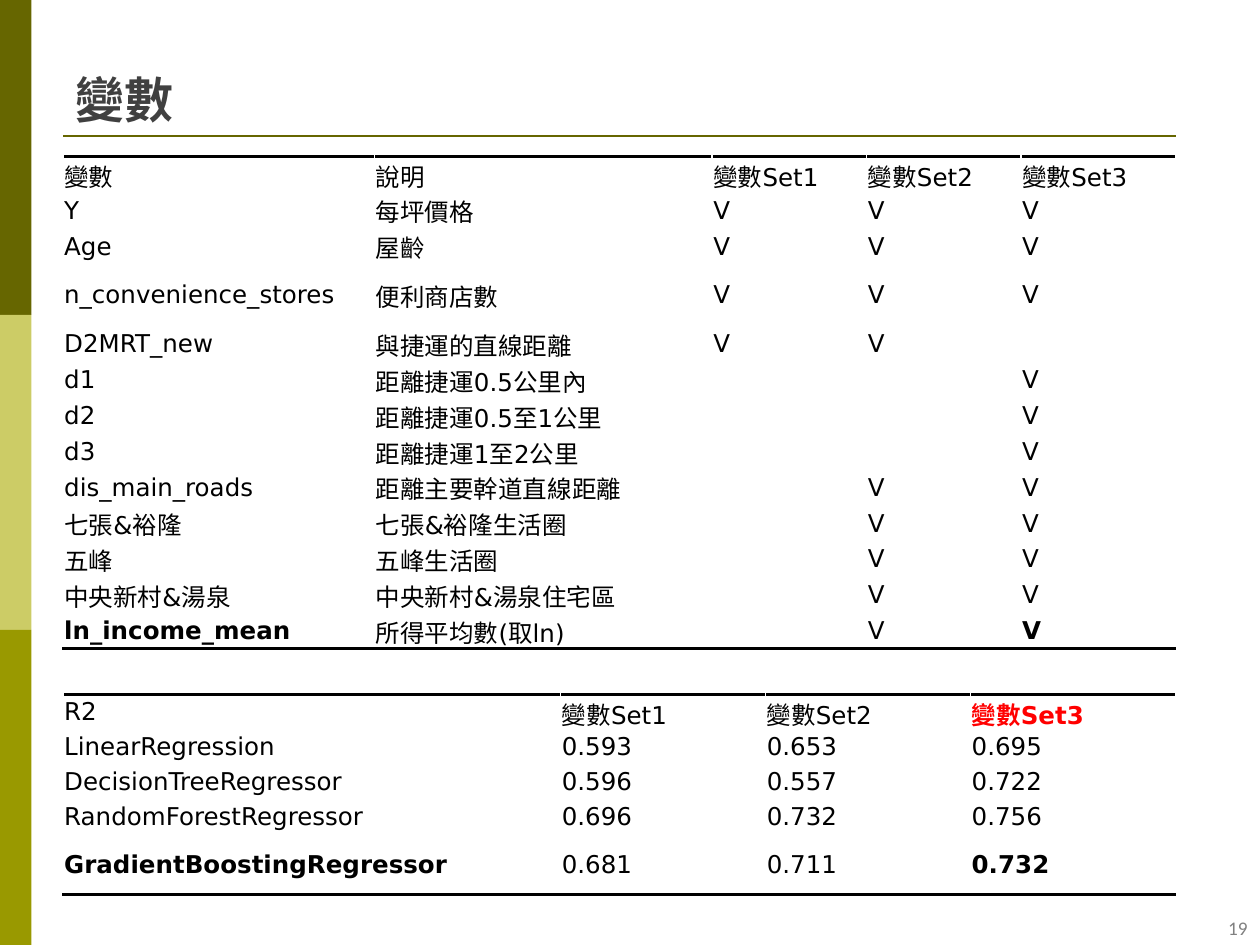
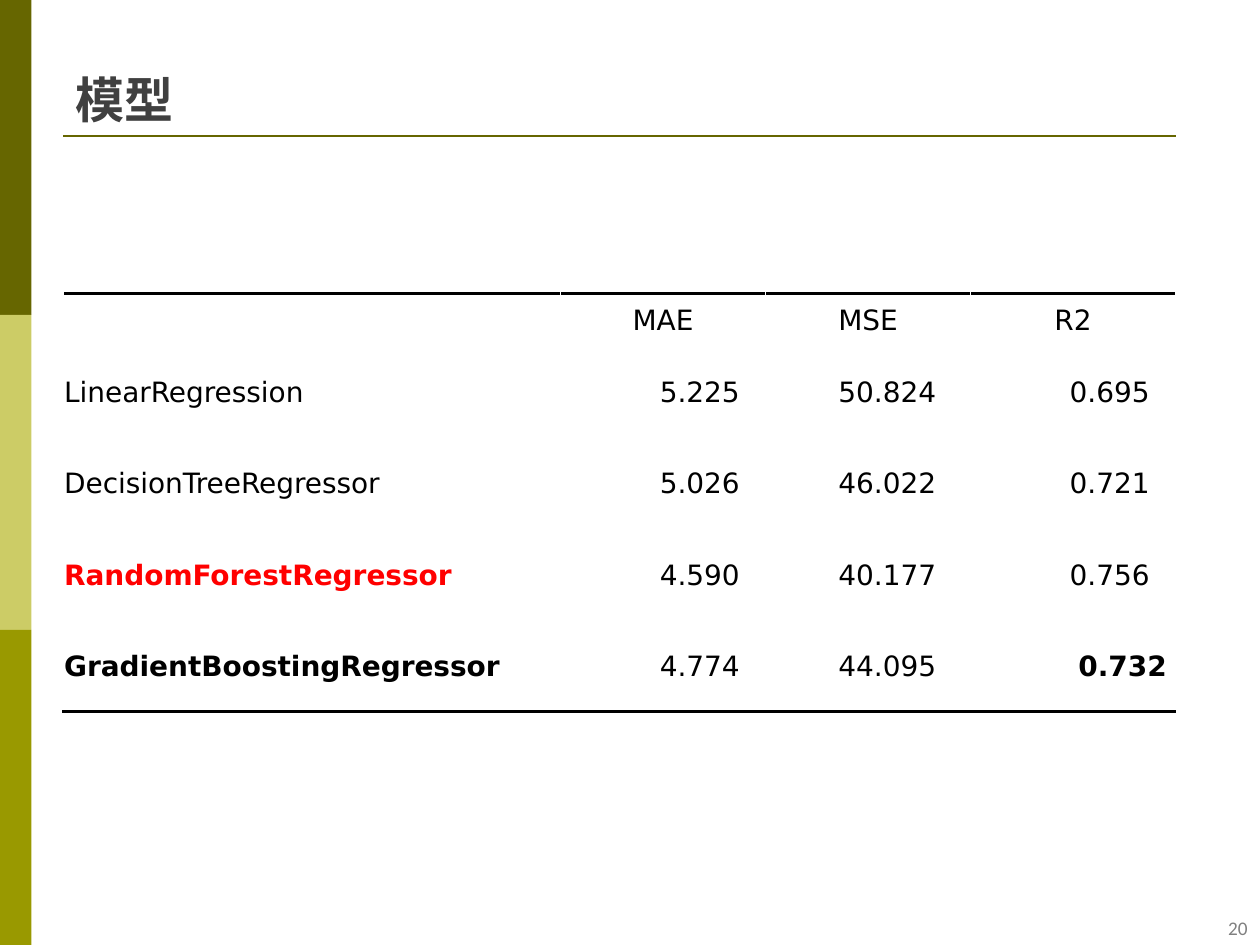
from lxml import etree
from pptx import Presentation
from pptx import util as u
from pptx.dml import color
from pptx.enum import shapes, text
from pptx.oxml import ns

Pt = u.Pt
COLORS = {
    "olive": "666600", "lime": "CCCC66", "moss": "999900", "heading": "404040",
    "page": "808080", "ink": "000000", "accent": "FF0000", "paper": "FFFFFF",
}
RGB = {name: color.RGBColor.from_string(value) for name, value in COLORS.items()}
LEFT, RULE_END, BAND_HEIGHT = 36, 671.8, 180


def add_run(paragraph, words, font, size, tint, bold=False):
    run = paragraph.add_run()
    run.text = words
    run.font.name = font
    run.font.size = Pt(size)
    run.font.bold = bold
    run.font.color.rgb = RGB[tint]


def add_grid(slide, top, widths, heights, rows, size, bold, indents=None, centered_header=False):
    frame = slide.shapes.add_table(len(rows), len(widths), Pt(LEFT), Pt(top), Pt(sum(widths)), Pt(sum(heights)))
    grid = frame.table
    grid.first_row = grid.horz_banding = False
    for column, width in zip(grid.columns, widths):
        column.width = Pt(width)
    edges = {0: "a:lnT", len(rows) - 1: "a:lnB"}
    for r, (row, height) in enumerate(zip(rows, heights)):
        grid.rows[r].height = Pt(height)
        for c, words in enumerate(row):
            cell = grid.cell(r, c)
            cell.margin_left = cell.margin_right = cell.margin_top = Pt(0.7)
            cell.margin_bottom = 0
            cell.vertical_anchor = text.MSO_ANCHOR.MIDDLE
            if r in edges:
                edge = etree.SubElement(cell._tc.get_or_add_tcPr(), ns.qn(edges[r]), w=str(Pt(2)))
                fill = etree.SubElement(edge, ns.qn("a:solidFill"))
                etree.SubElement(fill, ns.qn("a:srgbClr"), val=COLORS["ink"])
            cell.fill.solid()
            cell.fill.fore_color.rgb = RGB["paper"]
            paragraph = cell.text_frame.paragraphs[0]
            if r == 0 and centered_header:
                paragraph.alignment = text.PP_ALIGN.CENTER
            elif indents and indents[c]:
                indent = indents[c] + (5 if (r, c) in bold else 0)
                paragraph._p.get_or_add_pPr().set("marL", str(Pt(indent)))
                paragraph._p.get_or_add_pPr().set("indent", "0")
            if words:
                add_run(paragraph, words, "DejaVu Sans", size, bold.get((r, c), "ink"), (r, c) in bold)
            else:
                etree.SubElement(paragraph._p, ns.qn("a:endParaRPr"), sz=str(size * 100))


deck = Presentation()
deck.slide_width, deck.slide_height = Pt(720), Pt(540)

slides = []
for heading, page in [("變數", "19"), ("模型", "20")]:
    slide = deck.slides.add_slide(deck.slide_layouts[6])
    slides.append(slide)
    for i, tint in enumerate(["olive", "lime", "moss"]):
        band = slide.shapes.add_shape(
            shapes.MSO_SHAPE.RECTANGLE, 0, Pt(i * BAND_HEIGHT), Pt(18), Pt(BAND_HEIGHT))
        band.shadow.inherit = False
        band.fill.solid()
        band.fill.fore_color.rgb = RGB[tint]
        band.line.fill.background()
    rule = slide.shapes.add_connector(
        shapes.MSO_CONNECTOR.STRAIGHT, Pt(LEFT), Pt(77.8), Pt(RULE_END), Pt(77.8))
    rule.line.color.rgb = RGB["olive"]
    rule.line.width = Pt(1.5)
    etree.SubElement(rule._element.spPr, ns.qn("a:effectLst"))

    title = slide.shapes.add_textbox(Pt(LEFT), Pt(26.6), Pt(648), Pt(50.4)).text_frame
    title.word_wrap = True
    title.vertical_anchor = text.MSO_ANCHOR.BOTTOM
    add_run(title.paragraphs[0], heading, "Calibri", 28, "heading", True)

    number = slide.shapes.add_textbox(Pt(RULE_END), Pt(519.8), Pt(48.2), Pt(20.2)).text_frame
    number.word_wrap = True
    number.vertical_anchor = text.MSO_ANCHOR.MIDDLE
    number.paragraphs[0].alignment = text.PP_ALIGN.RIGHT
    add_run(number.paragraphs[0], page, "Calibri", 11, "page")

variables_slide, models_slide = slides
model_widths = [284.4] + [117.12] * 3

variables = [
    ("Y", "每坪價格", "123"),
    ("Age", "屋齡", "123"),
    ("n_convenience_stores", "便利商店數", "123"),
    ("D2MRT_new", "與捷運的直線距離", "12"),
    ("d1", "距離捷運0.5公里內", "3"),
    ("d2", "距離捷運0.5至1公里", "3"),
    ("d3", "距離捷運1至2公里", "3"),
    ("dis_main_roads", "距離主要幹道直線距離", "23"),
    ("七張&裕隆", "七張&裕隆生活圈", "23"),
    ("五峰", "五峰生活圈", "23"),
    ("中央新村&湯泉", "中央新村&湯泉住宅區", "23"),
    ("ln_income_mean", "所得平均數(取ln)", "23"),
]
set_names = ["變數Set1", "變數Set2", "變數Set3"]
variable_rows = [["變數", "說明"] + set_names]
for variable, meaning, members in variables:
    variable_rows.append([variable, meaning] + ["V" if s in members else "" for s in "123"])
add_grid(variables_slide, 89.3, [178, 193] + [88.25] * 3, [20.5] * 3 + [35.4] + [20.5] * 9,
         variable_rows, 14, {(12, 0): "ink", (12, 4): "ink"})

r2_rows = [
    ["R2"] + set_names,
    ["LinearRegression", "0.593", "0.653", "0.695"],
    ["DecisionTreeRegressor", "0.596", "0.557", "0.722"],
    ["RandomForestRegressor", "0.696", "0.732", "0.756"],
    ["GradientBoostingRegressor", "0.681", "0.711", "0.732"],
]
add_grid(variables_slide, 396.7, model_widths, [20] * 4 + [34.6], r2_rows, 14,
         {(0, 3): "accent", (4, 0): "ink", (4, 3): "ink"})

score_rows = [
    ["", "MAE", "MSE", "R2"],
    ["LinearRegression", "5.225", "50.824", "0.695"],
    ["DecisionTreeRegressor", "5.026", "46.022", "0.721"],
    ["RandomForestRegressor", "4.590", "40.177", "0.756"],
    ["GradientBoostingRegressor", "4.774", "44.095", "0.732"],
]
add_grid(models_slide, 167.8, model_widths, [30.2] + [52.2] * 4, score_rows, 16,
         {(3, 0): "accent", (4, 0): "ink", (4, 3): "ink"},
         indents=[0, 56, 41, 56], centered_header=True)

deck.save("out.pptx")
